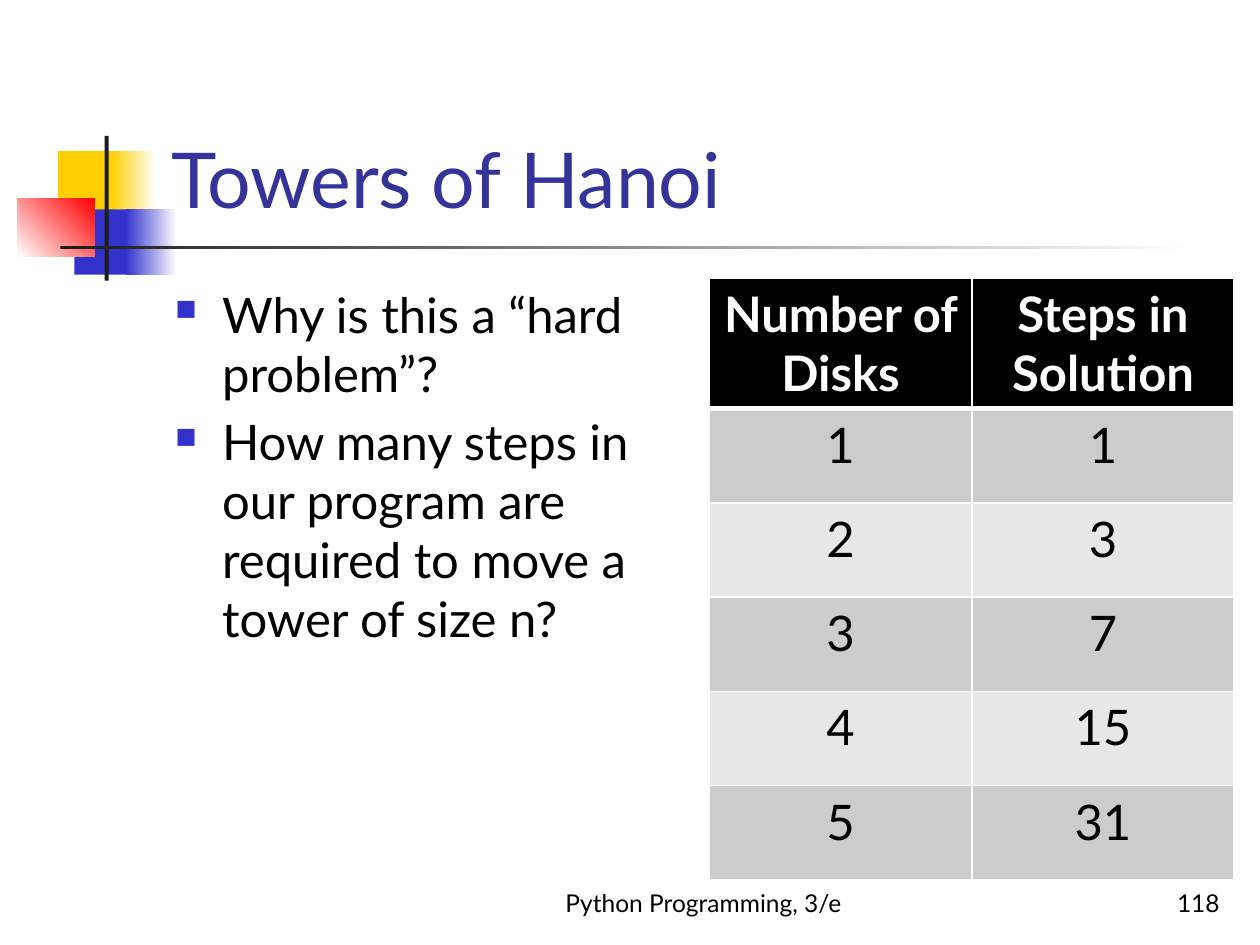
from lxml import etree
from pptx import Presentation
from pptx.dml.color import RGBColor
from pptx.enum.shapes import MSO_SHAPE
from pptx.enum.text import MSO_ANCHOR, MSO_AUTO_SIZE, PP_ALIGN
from pptx.oxml.ns import qn
from pptx.util import Cm, Pt

RECT = MSO_SHAPE.RECTANGLE
TOP, BOTTOM = MSO_ANCHOR.TOP, MSO_ANCHOR.BOTTOM
LEFT, CENTER, RIGHT = PP_ALIGN.LEFT, PP_ALIGN.CENTER, PP_ALIGN.RIGHT
NO_AUTOFIT = MSO_AUTO_SIZE.NONE
FONT = "Lato"
COLORS = {
    "white": "FFFFFF", "black": "000000", "yellow": "FFCF01",
    "blue": "3333CC", "red": "FF0000", "dark": "1C1C1C",
    "title": "333399", "band_dark": "CCCCCC", "band_light": "E7E7E7",
}
ORNAMENTS = [
    ((1.17, 3.05, 1.22, 1.32), ["yellow"], 0),
    ((2.24, 3.05, 0.91, 1.32), ["yellow", "white"], 0),
    ((1.5, 4.22, 1.17, 1.32), ["blue"], 0),
    ((2.54, 4.22, 1.02, 1.32), ["blue", "white"], 0),
    ((0.36, 4.01, 1.55, 1.17), ["white", "red"], 45),
    ((2.11, 2.74, 0.08, 2.92), ["dark"], 0),
    ((1.22, 4.95, 22.86, 0.08), ["dark", "white"], 0),
]
QUESTIONS = [
    "Why is this a “hard problem”?",
    "How many steps in our program are required to move a tower of size n?",
]
HEADERS = ["Number of Disks", "Steps in Solution"]
DISK_COUNTS = range(1, 6)


def rgb(name):
    return RGBColor.from_string(COLORS[name])


def format_paragraph(p, size, color="black", align=LEFT, bold=False):
    p.alignment = align
    for r in p.runs:
        r.font.name = FONT
        r.font.size = Pt(size)
        r.font.bold = bold
        r.font.color.rgb = rgb(color)


def add_ornament(s, box, colors, angle):
    sp = s.shapes.add_shape(RECT, *map(Cm, box))
    sp.shadow.inherit = False
    sp.line.fill.background()
    if len(colors) == 1:
        sp.fill.solid()
        sp.fill.fore_color.rgb = rgb(colors[0])
        return
    sp.fill.gradient()
    sp.fill.gradient_angle = angle
    for stop, color in zip(sp.fill.gradient_stops, colors):
        stop.color.rgb = rgb(color)


def set_title(s, text):
    sp = s.shapes.title
    sp.left, sp.top, sp.width, sp.height = map(Cm, (3.2, 0.58, 21.64, 4.06))
    tf = sp.text_frame
    tf.text = text
    tf.auto_size = NO_AUTOFIT
    tf.vertical_anchor = BOTTOM
    format_paragraph(tf.paragraphs[0], 44, "title")


def add_text(s, box, lines, size, align=LEFT, anchor=TOP):
    tf = s.shapes.add_textbox(*map(Cm, box)).text_frame
    tf.word_wrap = True
    tf.auto_size = NO_AUTOFIT
    tf.vertical_anchor = anchor
    tf.text = "\n".join(lines)
    for p in tf.paragraphs:
        format_paragraph(p, size, align=align)
    return tf


def add_bullet(p):
    pPr = p._p.get_or_add_pPr()
    pPr.set("marL", str(Cm(0.95)))
    pPr.set("indent", str(-Cm(0.95)))
    color = etree.SubElement(pPr, qn("a:buClr"))
    etree.SubElement(color, qn("a:srgbClr"), val=COLORS["blue"])
    etree.SubElement(pPr, qn("a:buSzPct"), val="60000")
    etree.SubElement(pPr, qn("a:buChar"), char="■")


def add_questions(s):
    tf = add_text(s, (3.28, 5.61, 10.59, 11.43), QUESTIONS, 28)
    for i, p in enumerate(tf.paragraphs):
        add_bullet(p)
        if i:
            p.space_before = Pt(5.6)


def set_borders(cell, bottom_width):
    tcPr = cell._tc.get_or_add_tcPr()
    widths = {"a:lnL": 1, "a:lnR": 1, "a:lnT": 1, "a:lnB": bottom_width}
    for i, (tag, width) in enumerate(widths.items()):
        ln = etree.Element(qn(tag), w=str(Pt(width)))
        fill = etree.SubElement(ln, qn("a:solidFill"))
        etree.SubElement(fill, qn("a:srgbClr"), val=COLORS["white"])
        tcPr.insert(i, ln)


def format_cell(cell, text, row):
    header = row == 0
    cell.text = text
    format_paragraph(cell.text_frame.paragraphs[0], 28,
                     "white" if header else "black", CENTER, header)
    band = "band_dark" if row % 2 else "band_light"
    cell.fill.solid()
    cell.fill.fore_color.rgb = rgb("black" if header else band)
    set_borders(cell, 3 if header else 1)


def add_steps_table(s):
    rows = [HEADERS] + [[str(n), str(2 ** n - 1)] for n in DISK_COUNTS]
    frame = s.shapes.add_table(len(rows), len(HEADERS),
                               *map(Cm, (14.3, 5.61, 10.58, 12.14)))
    table = frame.table
    table.horz_banding = False
    for i, values in enumerate(rows):
        table.rows[i].height = Cm(1.9) if i else Cm(2.62)
        for j, value in enumerate(values):
            format_cell(table.cell(i, j), value, i)


def main():
    prs = Presentation()
    prs.slide_width, prs.slide_height = Cm(25.4), Cm(19.05)
    s = prs.slides.add_slide(prs.slide_layouts[5])
    for box, colors, angle in ORNAMENTS:
        add_ornament(s, box, colors, angle)
    set_title(s, "Towers of Hanoi")
    add_questions(s)
    add_steps_table(s)
    add_text(s, (10.16, 17.35, 8.05, 1.27), ["Python Programming, 3/e"],
             14, CENTER, BOTTOM)
    add_text(s, (19.56, 17.35, 5.28, 1.27), ["118"], 14, RIGHT, BOTTOM)
    prs.save("out.pptx")


if __name__ == "__main__":
    main()
